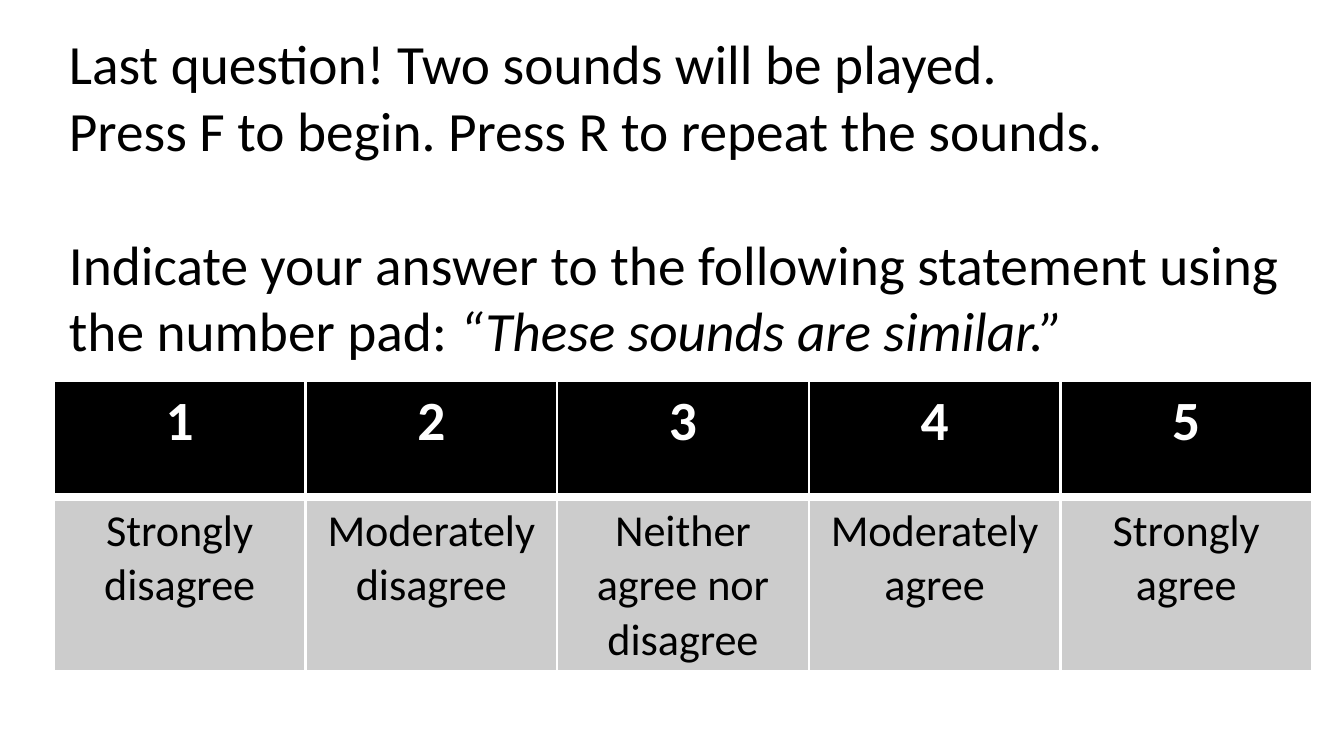
from lxml import etree
from pptx import Presentation
from pptx import util as u
from pptx.dml import color
from pptx.enum import text
from pptx.oxml import ns

COLORS = {"ink": "000000", "paper": "FFFFFF", "answer": "CCCCCC"}
ANSWERS = ["Strongly disagree", "Moderately disagree", "Neither agree nor disagree",
           "Moderately agree", "Strongly agree"]
QUESTION = [
    (0, [("Last question! Two sounds will be played.", False)]),
    (0, [("Press F to begin. Press R to repeat the sounds.", False)]),
    (24.4, [("Indicate your answer to the following statement using the number pad: ", False),
            ("“These sounds are similar.”", True)]),
]


class SurveySlide:
    """Draws the parts of a survey question on one slide."""

    font = "Calibri"
    margin_x, margin_y = 5.4, 2.7

    def __init__(self, page):
        self.page = page

    def rgb(self, name):
        return color.RGBColor.from_string(COLORS[name])

    def pad(self, area):
        area.margin_left = area.margin_right = u.Pt(self.margin_x)
        area.margin_top = area.margin_bottom = u.Pt(self.margin_y)

    def span(self, para, words, size, ink="ink", bold=False, italic=False):
        span = para.add_run()
        span.text = words
        span.font.name = self.font
        span.font.size = u.Pt(size)
        span.font.bold = bold
        span.font.italic = italic
        span.font.color.rgb = self.rgb(ink)

    def text_box(self, left, top, width, height, lines, size):
        box = self.page.shapes.add_textbox(*map(u.Pt, (left, top, width, height)))
        frame = box.text_frame
        frame.word_wrap = True
        frame.auto_size = text.MSO_AUTO_SIZE.SHAPE_TO_FIT_TEXT
        self.pad(frame)
        for index, (gap, spans) in enumerate(lines):
            para = frame.add_paragraph() if index else frame.paragraphs[0]
            para.space_before = u.Pt(gap)
            for words, italic in spans:
                self.span(para, words, size, italic=italic)

    def borders(self, cell, widths):
        props = cell._tc.get_or_add_tcPr()
        for index, (side, width) in enumerate(zip("LRTB", widths)):
            line = etree.Element(ns.qn(f"a:ln{side}"), w=str(u.Pt(width)))
            fill = etree.SubElement(line, ns.qn("a:solidFill"))
            etree.SubElement(fill, ns.qn("a:srgbClr"), val=COLORS["paper"])
            props.insert(index, line)

    def cell(self, cell, words, size, ink, fill, bold, widths):
        self.pad(cell)
        cell.fill.solid()
        cell.fill.fore_color.rgb = self.rgb(fill)
        para = cell.text_frame.paragraphs[0]
        para.alignment = text.PP_ALIGN.CENTER
        self.span(para, words, size, ink, bold)
        self.borders(cell, widths)

    def scale_table(self, left, top, width, heights, answers):
        frame = self.page.shapes.add_table(
            2, len(answers), *map(u.Pt, (left, top, width, sum(heights))))
        table = frame.table
        for row, height in zip(table.rows, heights):
            row.height = u.Pt(height)
        for index, answer in enumerate(answers):
            table.columns[index].width = u.Pt(width / len(answers))
            self.cell(table.cell(0, index), str(index + 1), 20, "paper", "ink", True, (1, 1, 1, 3))
            self.cell(table.cell(1, index), answer, 16, "ink", "answer", False, (1, 1, 3, 1))


def main():
    deck = Presentation()
    deck.slide_width, deck.slide_height = u.Pt(486), u.Pt(270)
    slide = SurveySlide(deck.slides.add_slide(deck.slide_layouts[6]))
    slide.text_box(19.5, 8, 455, 128, QUESTION, 20)
    slide.scale_table(19.5, 137.5, 455, (42.2, 62), ANSWERS)
    deck.save("out.pptx")


if __name__ == "__main__":
    main()
